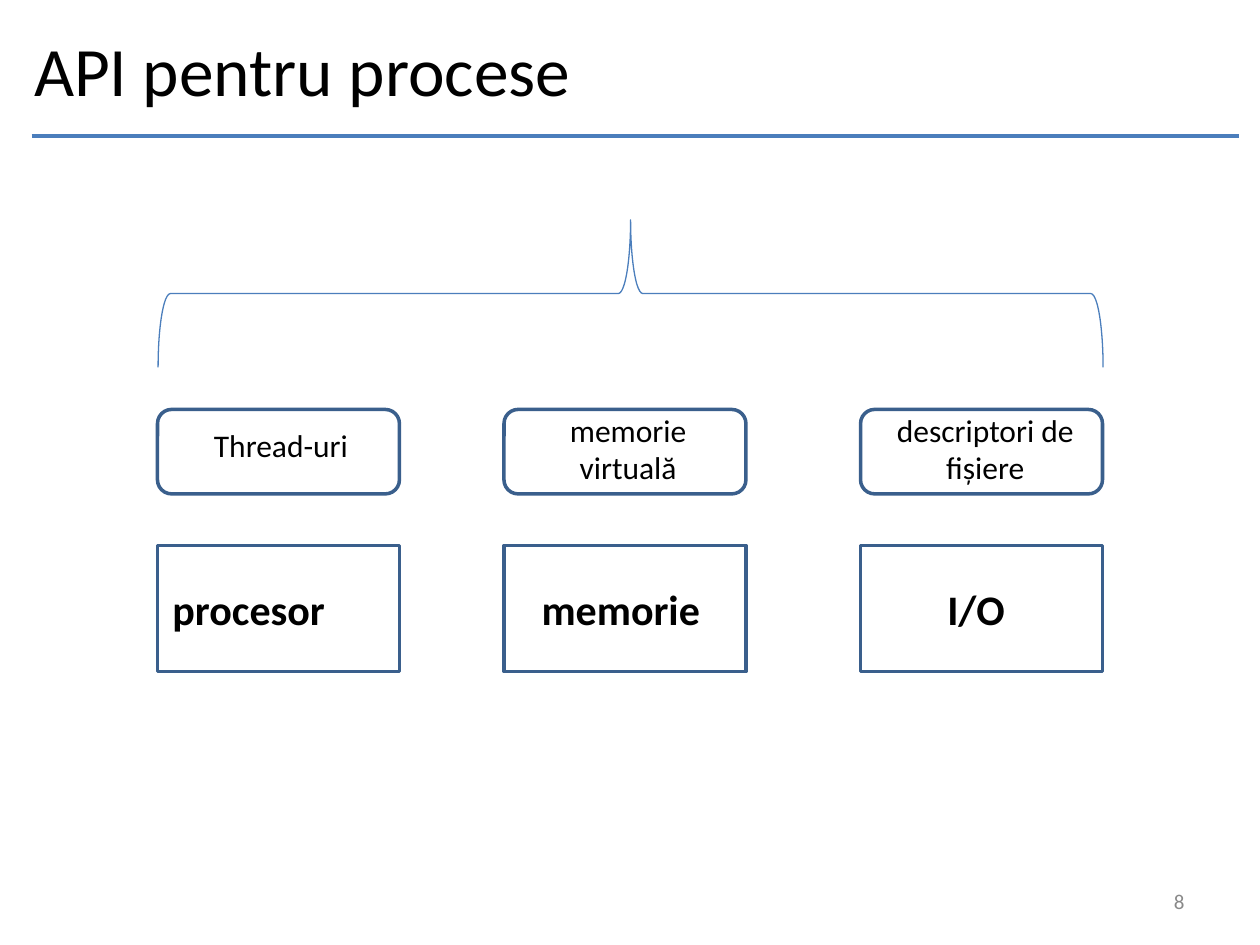
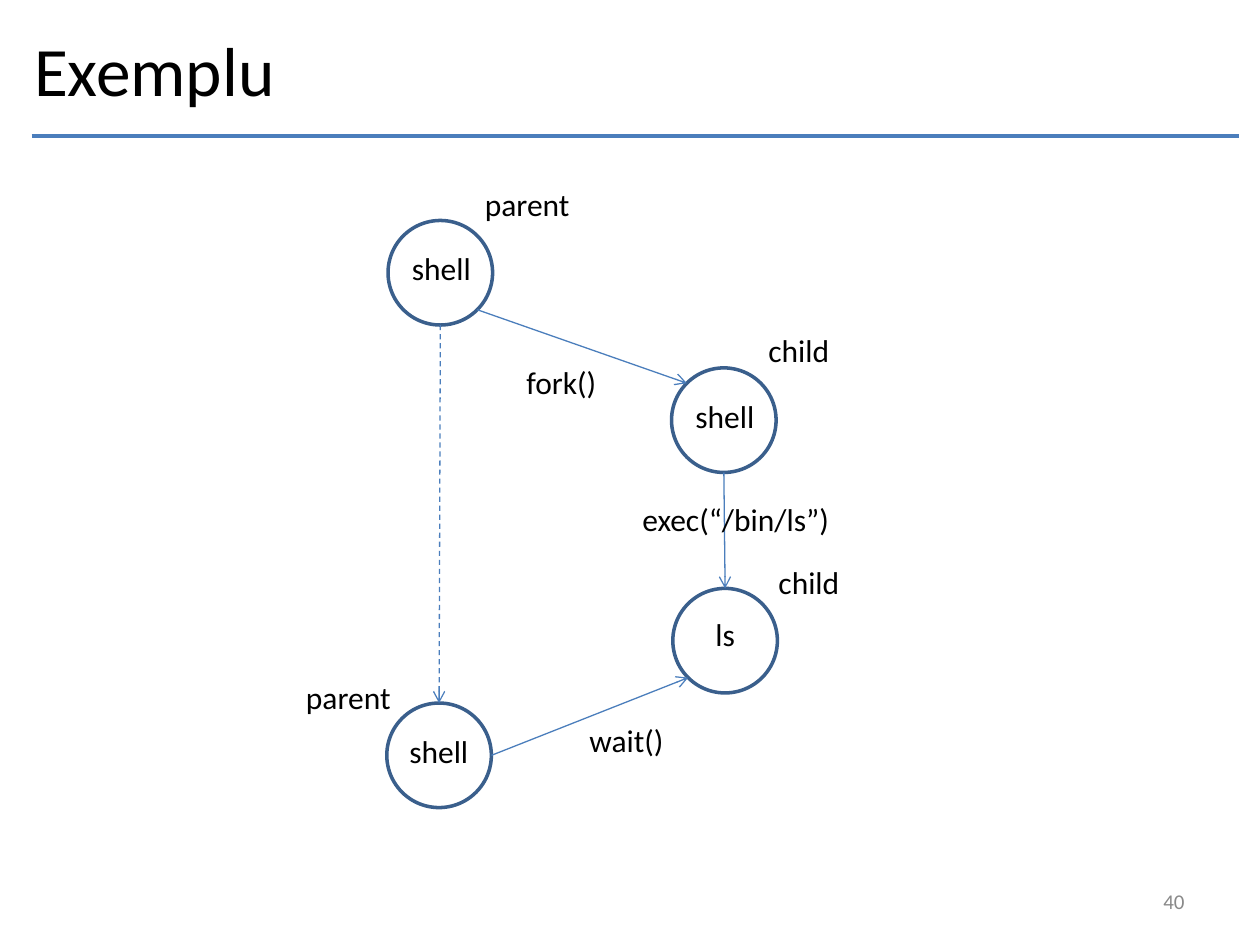
from math import cos, radians, sin

from lxml.etree import SubElement
from pptx import Presentation
from pptx.dml.color import RGBColor
from pptx.enum.dml import MSO_LINE
from pptx.enum.shapes import MSO_CONNECTOR, MSO_SHAPE
from pptx.enum.text import MSO_ANCHOR, MSO_AUTO_SIZE, PP_ALIGN
from pptx.oxml.ns import qn
from pptx.util import Inches, Pt

FONT = "Calibri"
BLACK = RGBColor(0x00, 0x00, 0x00)
GREY = RGBColor(0x89, 0x89, 0x89)
LINE_BLUE = RGBColor(0x4B, 0x7E, 0xBC)
OUTLINE_BLUE = RGBColor(0x3A, 0x5F, 0x8C)

COLUMN_LEFTS = (1.25, 4, 6.83)
COLUMN_WIDTH = 1.92
DIAMETER = 0.83
TOP, TOP_LEFT, BOTTOM_LEFT, BOTTOM, BOTTOM_RIGHT, RIGHT = 0, 1, 3, 4, 5, 6


def format_text(tf, size, color=BLACK, align=PP_ALIGN.LEFT, bold=False):
    """Give every paragraph the same alignment and font."""
    for p in tf.paragraphs:
        p.alignment = align
        for r in p.runs:
            r.font.name = FONT
            r.font.size = Pt(size)
            r.font.bold = bold
            r.font.color.rgb = color


def add_label(slide, text, left, top, width, height=0.4, size=18,
              align=PP_ALIGN.LEFT, bold=False):
    """Add a text box that fits its unwrapped text."""
    tf = slide.shapes.add_textbox(
        Inches(left), Inches(top), Inches(width), Inches(height)).text_frame
    tf.text = text
    tf.word_wrap = False
    tf.auto_size = MSO_AUTO_SIZE.SHAPE_TO_FIT_TEXT
    format_text(tf, size, align=align, bold=bold)


def add_outline(slide, kind, left, top, width, height, color=OUTLINE_BLUE, weight=2):
    """Add an unfilled preset shape."""
    sp = slide.shapes.add_shape(
        kind, Inches(left), Inches(top), Inches(width), Inches(height))
    sp.shadow.inherit = False
    sp.fill.background()
    sp.line.color.rgb = color
    sp.line.width = Pt(weight)
    return sp


def add_line(slide, x1, y1, x2, y2, weight):
    """Add a straight line without a shadow, with ends in EMU."""
    line = slide.shapes.add_connector(MSO_CONNECTOR.STRAIGHT, x1, y1, x2, y2)
    line.line.color.rgb = LINE_BLUE
    line.line.width = Pt(weight)
    SubElement(line._element.spPr, qn("a:effectLst"))
    return line


def site_point(circle, site):
    """Return one of a circle's eight connection sites, counted from the top leftwards."""
    angle = radians(90 + 45 * site)
    radius = circle.width / 2
    return (round(circle.left + radius + radius * cos(angle)),
            round(circle.top + radius - radius * sin(angle)))


def add_arrow(slide, start, start_site, end, end_site, dashed=False):
    """Join two circles with an arrow glued to their connection sites."""
    arrow = add_line(slide, *site_point(start, start_site),
                     *site_point(end, end_site), 0.75)
    if dashed:
        arrow.line.dash_style = MSO_LINE.DASH
    SubElement(arrow.line._get_or_add_ln(), qn("a:tailEnd"), type="arrow")
    joints = arrow._element.nvCxnSpPr.cNvCxnSpPr
    for tag, circle, site in (("a:stCxn", start, start_site), ("a:endCxn", end, end_site)):
        SubElement(joints, qn(tag), id=str(circle.shape_id), idx=str(site))


def add_circle(slide, left, top):
    """Add a process circle."""
    return add_outline(slide, MSO_SHAPE.OVAL, left, top, DIAMETER, DIAMETER)


def add_titled_slide(prs, title, number):
    """Add a slide with its title, rule and page number."""
    slide = prs.slides.add_slide(prs.slide_layouts[5])
    sp = slide.shapes.title
    sp.left, sp.top, sp.width, sp.height = (
        Inches(0.17), Inches(0.17), Inches(8.17), Inches(0.75))
    tf = sp.text_frame
    tf.text = title
    tf.auto_size = MSO_AUTO_SIZE.NONE
    tf.vertical_anchor = MSO_ANCHOR.MIDDLE
    format_text(tf, 39.6)
    add_line(slide, Inches(0.25), Inches(1.08), Inches(9.83), Inches(1.08), 2)
    tf = slide.shapes.add_textbox(
        Inches(7.17), Inches(6.95), Inches(2.33), Inches(0.4)).text_frame
    tf.text = str(number)
    tf.word_wrap = True
    tf.vertical_anchor = MSO_ANCHOR.MIDDLE
    format_text(tf, 12, GREY, PP_ALIGN.RIGHT)
    return slide


def add_process_api(prs):
    """Build the slide that maps resources to process abstractions."""
    slide = add_titled_slide(prs, "API pentru procese", 8)
    resources = (("procesor", 1.27, 1.42), ("memorie", 4.2, 1.47), ("I/O", 7.42, 0.66))
    abstractions = (
        ("Thread-uri", 1.59, 3.33, 1.28, 0.4),
        ("memorie\nvirtuală", 4.39, 3.21, 1.19, 0.71),
        ("descriptori de\nfișiere", 7.01, 3.21, 1.62, 0.71),
    )
    for column, resource, abstraction in zip(COLUMN_LEFTS, resources, abstractions):
        text, left, width = resource
        add_outline(slide, MSO_SHAPE.RECTANGLE, column, 4.33, COLUMN_WIDTH, 1)
        add_label(slide, text, left, 4.58, width, 0.5, size=24, bold=True)
        add_outline(slide, MSO_SHAPE.ROUNDED_RECTANGLE, column, 3.25, COLUMN_WIDTH, 0.67)
        add_label(slide, *abstraction, align=PP_ALIGN.CENTER)
    brace = add_outline(slide, MSO_SHAPE.RIGHT_BRACE, 4.42, -1.42, 1.17, 7.5,
                        LINE_BLUE, 0.75)
    brace.rotation = 270


def add_shell_example(prs):
    """Build the slide that follows a shell through fork, exec and wait."""
    slide = add_titled_slide(prs, "Exemplu", 40)
    parent = add_circle(slide, 3.08, 1.75)
    child = add_circle(slide, 5.33, 2.92)
    ls = add_circle(slide, 5.34, 4.67)
    waiting_parent = add_circle(slide, 3.07, 5.58)

    add_arrow(slide, parent, BOTTOM_RIGHT, child, TOP_LEFT)
    add_arrow(slide, child, BOTTOM, ls, TOP)
    add_arrow(slide, parent, BOTTOM, waiting_parent, TOP, dashed=True)
    add_arrow(slide, waiting_parent, RIGHT, ls, BOTTOM_LEFT)

    for text, left, top, width in (
        ("shell", 3.17, 1.93, 0.68),
        ("parent", 3.75, 1.42, 0.88),
        ("shell", 5.42, 3.1, 0.68),
        ("child", 6, 2.58, 0.69),
        ("fork()", 4.08, 2.83, 0.76),
        ("child", 6.08, 4.42, 0.69),
        ("exec(“/bin/ls”)", 5, 3.92, 1.7),
        ("shell", 3.15, 5.76, 0.68),
        ("parent", 2.33, 5.33, 0.88),
        ("wait()", 4.58, 5.67, 0.8),
    ):
        add_label(slide, text, left, top, width)
    add_label(slide, "ls", 5.42, 4.83, 0.67, align=PP_ALIGN.CENTER)


def main():
    """Build and save the presentation."""
    prs = Presentation()
    prs.slide_width, prs.slide_height = Inches(10), Inches(7.5)
    add_process_api(prs)
    add_shell_example(prs)
    prs.save("out.pptx")


if __name__ == "__main__":
    main()
